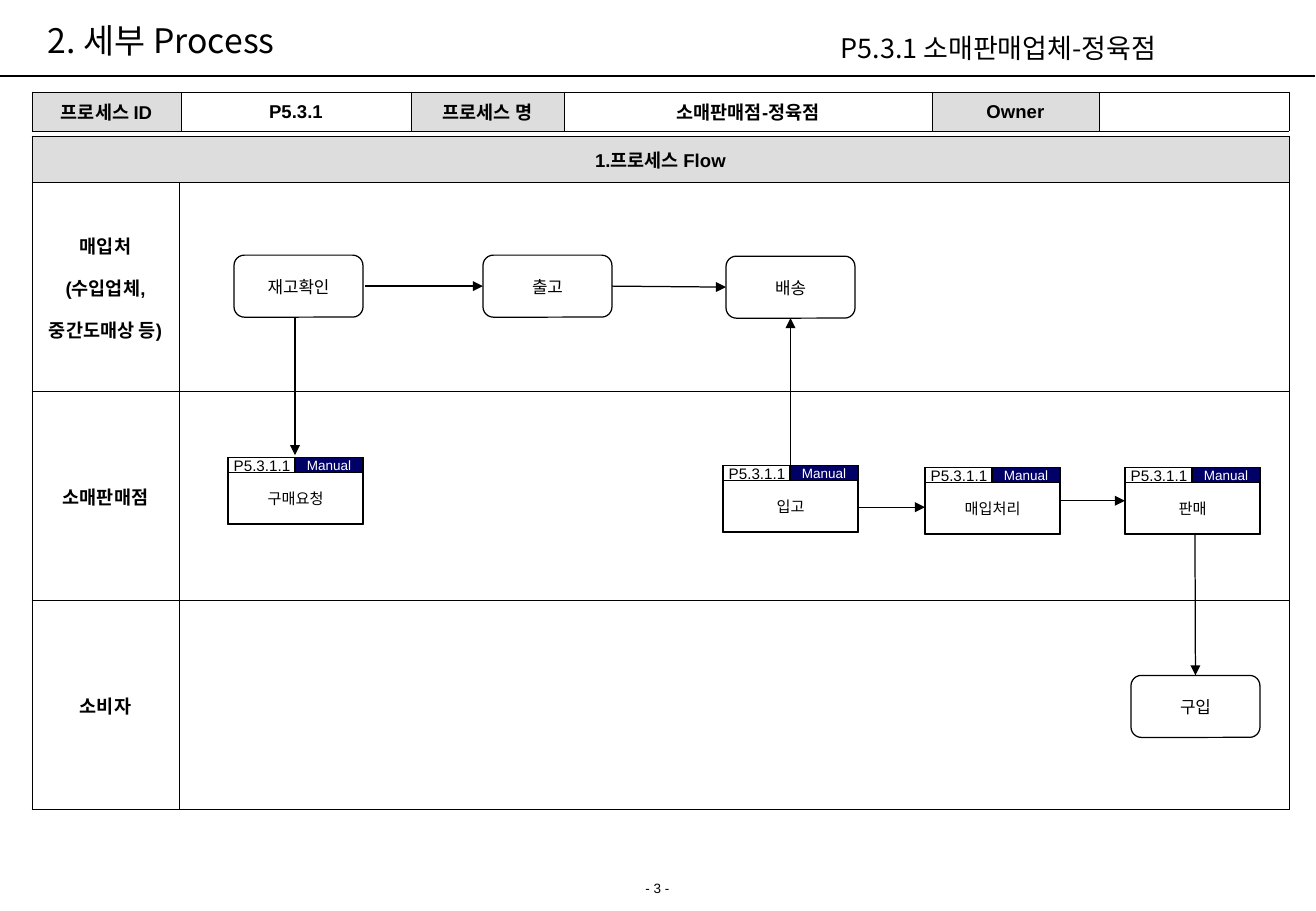
from lxml import etree
from pptx import Presentation, util as u
from pptx.dml import color
from pptx.enum import shapes, text
from pptx.oxml import ns

PX = 7532
HUE = {"ink": "000000", "paper": "FFFFFF", "gray": "DDDDDD", "navy": "000066"}
LATIN, HANGUL = "Arial", "Noto Sans CJK KR"
MID = text.PP_ALIGN.CENTER


def px(*nums):
    return [u.Emu(n * PX) for n in nums]


def write(frame, words, size, hue="ink", face=LATIN, bold=False, align=MID,
          lead=None, before=0, after=0):
    for i, line in enumerate(words.split("\n")):
        para = frame.paragraphs[0] if i == 0 else frame.add_paragraph()
        para.alignment = align
        para.space_before, para.space_after = u.Pt(before), u.Pt(after)
        if lead:
            para.line_spacing = lead
        if not line:
            etree.SubElement(para._p, ns.qn("a:endParaRPr"), sz=str(size * 100))
            continue
        run = para.add_run()
        run.text = line
        run.font.size, run.font.bold, run.font.name = u.Pt(size), bold, face
        run.font.color.rgb = color.RGBColor.from_string(HUE[hue])
        etree.SubElement(run._r.get_or_add_rPr(), ns.qn("a:ea"), typeface=HANGUL)


deck = Presentation()
deck.slide_width, deck.slide_height = u.Inches(10.84), u.Inches(7.5)
slide = deck.slides.add_slide(deck.slide_layouts[6])
pen = slide.shapes

heads = [
    ((36, 6, 832, 67), "2. 세부 Process", 20, HANGUL, text.PP_ALIGN.LEFT, None, 0),
    ((829, 25, 382, 45), "P5.3.1 소매판매업체-정육점", 16, HANGUL, text.PP_ALIGN.LEFT, 1.01, 0),
    ((0, 873, 1315, 29), "- 3 -", 8, LATIN, MID, 1.01, 5),
]
for box, words, size, face, align, lead, before in heads:
    frame = pen.add_textbox(*px(*box)).text_frame
    frame.word_wrap = True
    frame.vertical_anchor = text.MSO_ANCHOR.MIDDLE
    write(frame, words, size, face=face, align=align, lead=lead, before=before)

grids = [
    (92, [149, 230, 153, 368, 167, 190], [39],
     [["프로세스 ID", "P5.3.1", "프로세스 명", "소매판매점-정육점", "Owner", ""]]),
    (136, [147, 1110], [46, 209, 209, 209],
     [["1.프로세스 Flow", ""], ["매입처\n(수입업체,\n중간도매상 등)", ""],
      ["소매판매점", ""], ["소비자", ""]]),
]
for top, cols, rows, data in grids:
    grid = pen.add_table(len(rows), len(cols), *px(32, top, sum(cols), sum(rows))).table
    for col, wide in zip(grid.columns, cols):
        col.width = u.Emu(wide * PX)
    for row, high in zip(grid.rows, rows):
        row.height = u.Emu(high * PX)
    for r, line in enumerate(data):
        for c, words in enumerate(line):
            cell = grid.cell(r, c)
            cell.vertical_anchor = text.MSO_ANCHOR.MIDDLE
            lane = r > 0
            write(cell.text_frame, words, 11, bold=True, after=4.1,
                  lead=1.05 if lane else None, before=4.1 if lane and r != 2 else 0)
            props = cell._tc.get_or_add_tcPr()
            for side in ("lnL", "lnR", "lnT", "lnB"):
                edge = etree.SubElement(props, ns.qn("a:" + side), w="5715")
                fill = etree.SubElement(edge, ns.qn("a:solidFill"))
                etree.SubElement(fill, ns.qn("a:srgbClr"), val=HUE["ink"])
            cell.fill.solid()
            tint = "gray" if r == 0 and c % 2 == 0 else "paper"
            cell.fill.fore_color.rgb = color.RGBColor.from_string(HUE[tint])
    if len(rows) > 1:
        grid.cell(0, 0).merge(grid.cell(0, 1))

RECT, ROUND = shapes.MSO_SHAPE.RECTANGLE, shapes.MSO_SHAPE.ROUNDED_RECTANGLE
parts = []
for name, x, y in [("재고확인", 234, 255), ("출고", 483, 255),
                   ("배송", 726, 256), ("구입", 1131, 675)]:
    parts.append((name, ROUND, (x, y, 129, 62), name, 10, "paper", "ink", 2.5))
for name, x, y in [("구매요청", 228, 457), ("입고", 723, 465),
                   ("매입처리", 925, 467), ("판매", 1125, 467)]:
    parts += [
        ("body", RECT, (x, y + 15, 135, 51), name, 9, "paper", "ink", 2.2),
        ("code", RECT, (x, y, 68, 15), "P5.3.1.1", 9, "paper", "ink", 2.2),
        ("mode", RECT, (x + 67, y, 68, 15), "Manual", 8, "navy", "paper", 2),
        (name, RECT, (x, y, 135, 67), "", 9, None, "ink", 0),
    ]

steps = {}
for name, kind, box, words, size, fill, hue, before in parts:
    shape = pen.add_shape(kind, *px(*box))
    shape.shadow.inherit = False
    shape.line.color.rgb = color.RGBColor.from_string(HUE["ink"])
    shape.line.width = u.Pt(0.75)
    if fill:
        shape.fill.solid()
        shape.fill.fore_color.rgb = color.RGBColor.from_string(HUE[fill])
    else:
        shape.fill.background()
    frame = shape.text_frame
    frame.word_wrap = kind == RECT
    frame.vertical_anchor = text.MSO_ANCHOR.MIDDLE
    frame.margin_left = frame.margin_right = u.Inches(0.01)
    frame.margin_top = frame.margin_bottom = u.Inches(0.01)
    if words:
        write(frame, words, size, hue, lead=1.04, before=before)
    steps[name] = shape

links = [
    ((0, 76, 1315, 76), None, None),
    ((295, 317, 295, 455), None, None),
    ((365, 286, 483, 286), None, ("출고", 1)),
    ((612, 286, 726, 287), ("출고", 3), ("배송", 1)),
    ((790, 465, 790, 318), ("입고", 0), ("배송", 2)),
    ((858, 507, 925, 507), None, None),
    ((1060, 501, 1125, 501), ("매입처리", 3), ("판매", 1)),
    ((1195, 534, 1195, 675), None, ("구입", 0)),
]
for i, (ends, start, stop) in enumerate(links):
    link = pen.add_connector(shapes.MSO_CONNECTOR.STRAIGHT, *px(*ends))
    link.line.color.rgb = color.RGBColor.from_string(HUE["ink"])
    link.line.width = u.Pt(0.75)
    if start:
        link.begin_connect(steps[start[0]], start[1])
    if stop:
        link.end_connect(steps[stop[0]], stop[1])
    if i > 0:
        etree.SubElement(link.line._get_or_add_ln(), ns.qn("a:tailEnd"), type="triangle")
    etree.SubElement(link._element.spPr, ns.qn("a:effectLst"))

deck.save("out.pptx")
